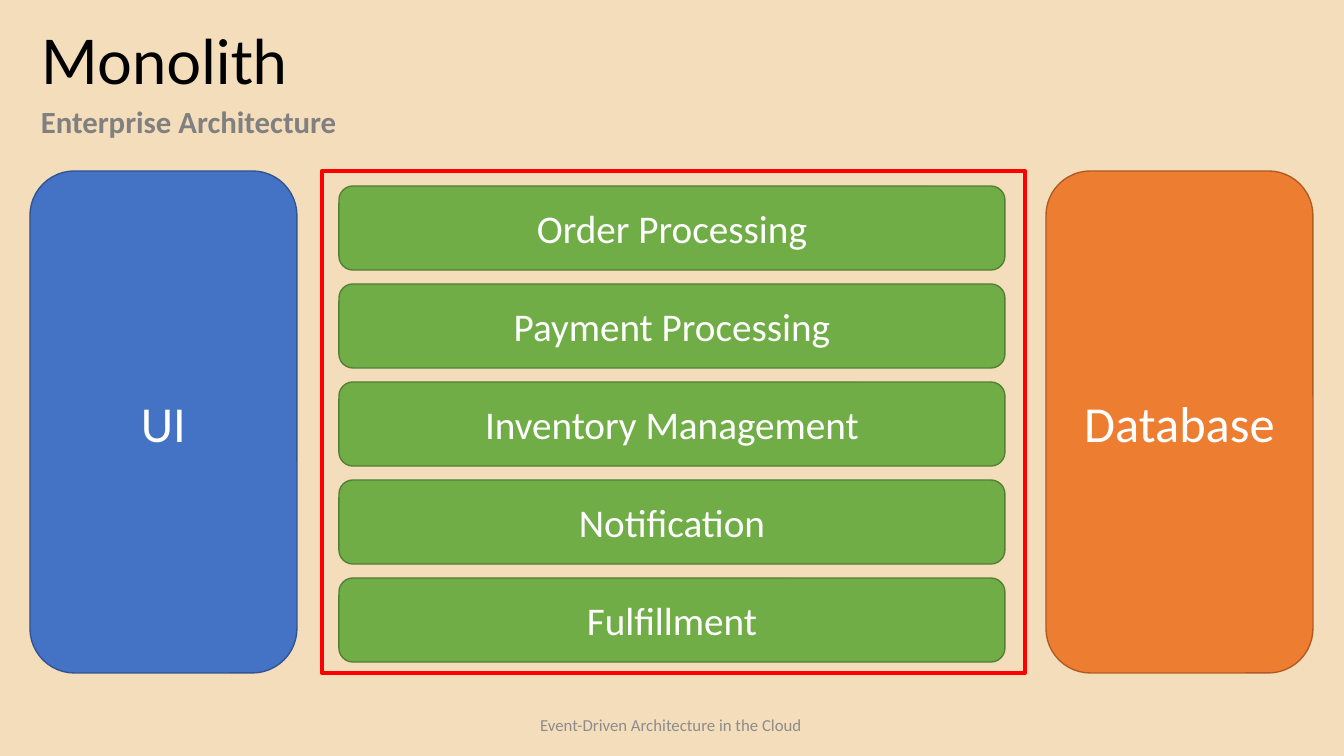
from pptx import Presentation
from pptx.dml.color import RGBColor
from pptx.enum.shapes import MSO_SHAPE
from pptx.enum.text import MSO_ANCHOR, PP_ALIGN
from pptx.util import Pt

ROUNDED, RECTANGLE = MSO_SHAPE.ROUNDED_RECTANGLE, MSO_SHAPE.RECTANGLE
MIDDLE, LEFT, CENTER = MSO_ANCHOR.MIDDLE, PP_ALIGN.LEFT, PP_ALIGN.CENTER
EMU_PER_PX = 914400 / 100.8
COLORS = {
    "background": "F4DDBB", "title": "000000", "subtitle": "808080",
    "footer": "8C8C8C", "label": "FFFFFF", "frame": "FF0000",
    "ui": "4472C4", "ui_edge": "325491",
    "service": "70AD47", "service_edge": "538035",
    "database": "ED7D31", "database_edge": "AF5C24",
}


def px(*lengths):
    return [round(length * EMU_PER_PX) for length in lengths]


def write(shape, words, size, color, align=CENTER, font="Calibri"):
    frame = shape.text_frame
    frame.word_wrap = True
    frame.vertical_anchor = MIDDLE
    paragraph = frame.paragraphs[0]
    paragraph.text = words
    paragraph.alignment = align
    paragraph.font.name = font
    paragraph.font.size = Pt(size)
    paragraph.font.color.rgb = RGBColor.from_string(COLORS[color])
    return paragraph


deck = Presentation()
deck.slide_width, deck.slide_height = px(1344, 756)
slide = deck.slides.add_slide(deck.slide_layouts[6])
slide.background.fill.solid()
slide.background.fill.fore_color.rgb = RGBColor.from_string(COLORS["background"])

# Footer and headings
footer = slide.shapes.add_textbox(*px(529, 710, 284, 30))
write(footer, "Event-Driven Architecture in the Cloud", 12, "footer")
footer.text_frame.word_wrap = False

title = slide.shapes.add_textbox(*px(31, 24, 1282, 81))
write(title, "Monolith", 44, "title", LEFT, "Lato").line_spacing = 0.9

subtitle = slide.shapes.add_textbox(*px(31, 105, 1282, 40))
tagline = write(subtitle, "Enterprise Architecture", 22, "subtitle", LEFT)
tagline.line_spacing = 0.8
tagline.font.bold = True

# UI, the stacked services, and the database
SERVICES = ["Order Processing", "Payment Processing", "Inventory Management",
            "Notification", "Fulfillment"]
SERVICE_TOP, SERVICE_PITCH = 186, 98
blocks = [("UI", "ui", 36, (30, 171, 267, 502))]
blocks += [(service, "service", 28, (339, SERVICE_TOP + i * SERVICE_PITCH, 666, 84))
           for i, service in enumerate(SERVICES)]
blocks.append(("Database", "database", 36, (1046, 171, 267, 502)))

for name, role, size, box in blocks:
    block = slide.shapes.add_shape(ROUNDED, *px(*box))
    block.shadow.inherit = False
    block.fill.solid()
    block.fill.fore_color.rgb = RGBColor.from_string(COLORS[role])
    block.line.color.rgb = RGBColor.from_string(COLORS[role + "_edge"])
    block.line.width = Pt(1)
    write(block, name, size, "label")

# Monolith boundary around the services
boundary = slide.shapes.add_shape(RECTANGLE, *px(322, 171, 703, 502))
boundary.shadow.inherit = False
boundary.fill.background()
boundary.line.color.rgb = RGBColor.from_string(COLORS["frame"])
boundary.line.width = Pt(3)

deck.save("out.pptx")
